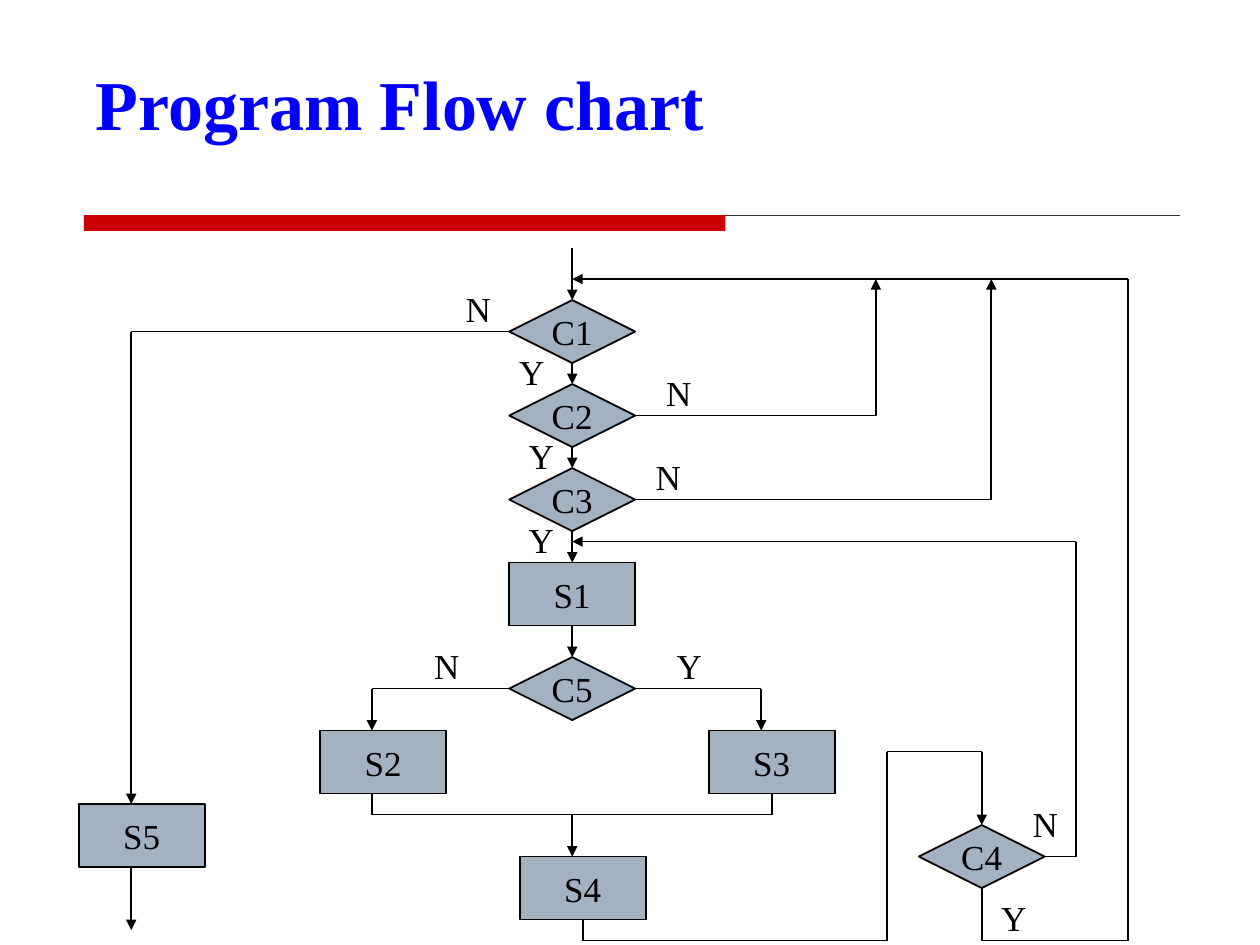
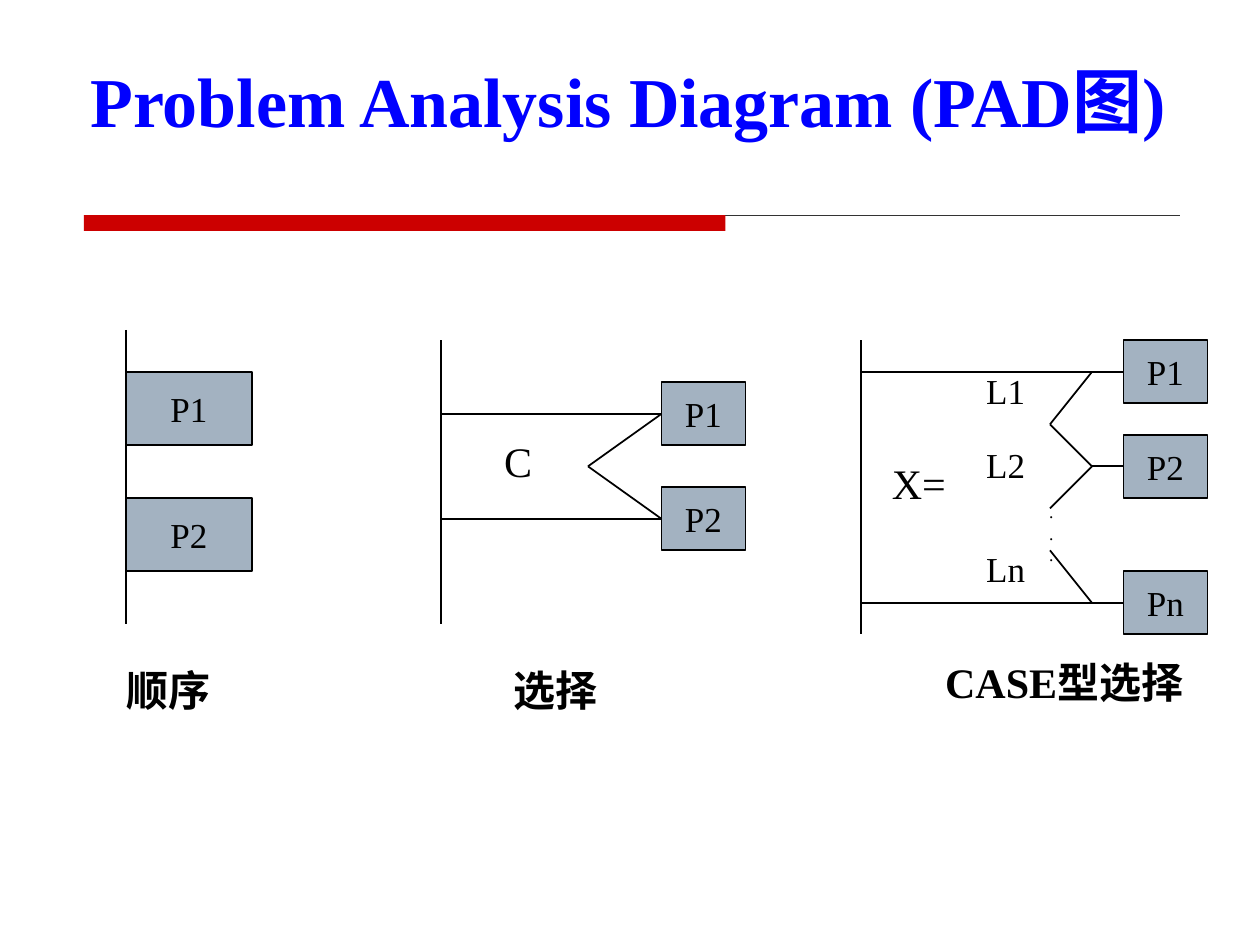
import itertools

import pptx
import pptx.dml.color
import pptx.enum.shapes
import pptx.enum.text
import pptx.oxml.ns
import pptx.oxml.xmlchemy
import pptx.util

Pt = pptx.util.Pt
Shape = pptx.enum.shapes.MSO_SHAPE

COLORS = {"title": "0000FF", "band": "CC0000", "rule": "333333",
          "node": "A3B2C1", "ink": "000000"}
FONT = "Times New Roman"

# ---- Flow chart: center x and top of each symbol ----
SYMBOL_SIZE = (72, 36)
DECISIONS = {"C1": (327, 171.5), "C2": (327, 219.5), "C3": (327, 267.5),
             "C5": (327, 375.5), "C4": (561, 471.5)}
PROCESSES = {"S1": (327, 321.5), "S2": (219, 417.5), "S3": (441, 417.5),
             "S4": (333, 489.5), "S5": (81, 459.5)}

# Each route is a chain of corners; an arrow route ends in an arrowhead.
ARROW_ROUTES = [
    [(327, 141.5), (327, 171.5)],
    [(327, 207.5), (327, 219.5)],
    [(327, 255.5), (327, 267.5)],
    [(327, 303.5), (327, 321.5)],
    [(327, 357.5), (327, 375.5)],
    [(291, 189.5), (75, 189.5), (75, 459.5)],
    [(75, 495.5), (75, 531.5)],
    [(291, 393.5), (212.5, 393.5), (212.5, 417.5)],
    [(363, 393.5), (435, 393.5), (435, 417.5)],
    [(327, 465.5), (327, 489.5)],
    [(333, 525.5), (333, 537.5), (507, 537.5), (507, 429.5),
     (561, 429.5), (561, 471.5)],
    [(597, 489.5), (615, 489.5), (615, 309.5), (327, 309.5)],
    [(561, 507.5), (561, 537.5), (644.5, 537.5), (644.5, 159.5), (327, 159.5)],
    [(363, 237.5), (500.5, 237.5), (500.5, 159.5)],
    [(363, 285.5), (566.5, 285.5), (566.5, 159.5)],
]
JOIN_ROUTE = [(212.5, 453.5), (212.5, 465.5), (441, 465.5), (441, 453.5)]

BRANCH_LABELS = {
    "N": [(241, 365), (583, 455), (373.5, 209), (367.5, 257), (259, 160.5)],
    "Y": [(379.5, 365), (565, 509), (289.5, 196.5), (295, 245), (295, 293)],
}

# ---- PAD: (text, left, top, width, height) ----
PAD_BOXES = [
    ("P1", 72, 212.5, 72, 42), ("P2", 72, 284.5, 72, 42),
    ("P1", 378, 218.5, 48, 36), ("P2", 378, 278.5, 48, 36),
    ("P1", 642, 194.5, 48, 36), ("P2", 642, 248.5, 48, 36),
    ("Pn", 642, 326.5, 48, 36),
]
PAD_LINES = [
    [(72, 188.5), (72, 356.5)],
    [(252, 194.5), (252, 356.5)],
    [(252, 236.5), (378, 236.5), (336, 266.5), (378, 296.5), (252, 296.5)],
    [(492, 194.5), (492, 362.5)],
    [(492, 212.5), (642, 212.5)],
    [(492, 344.5), (642, 344.5)],
    [(624, 266.5), (642, 266.5)],
    [(624, 212.5), (600, 242.5), (624, 266.5), (600, 290.5)],
    [(600, 314.5), (624, 344.5)],
]
# (text, left, top, width, height, font size)
PAD_LABELS = [
    (".\n.\n.", 592.5, 283, 17, 43, 10),
    ("X=", 502.5, 258, 45.5, 36, 24),
    ("L1", 556.5, 207.5, 36.5, 31, 20),
    ("L2", 556.5, 250, 36.5, 31, 20),
    ("Ln", 556.5, 309.5, 36.5, 31, 20),
    ("C", 281, 245.5, 30, 36, 24),
]
CAPTIONS = [("顺序", 65, 376, 62.5, 36, 24), ("选择", 286.5, 376, 62.5, 36, 24),
            ("CASE型选择", 533, 371.5, 151, 36, 24)]


def rgb(name):
    return pptx.dml.color.RGBColor.from_string(COLORS[name])


def write(shape, text, size, color="ink", bold=False, align="LEFT"):
    shape.text_frame.text = text
    for para in shape.text_frame.paragraphs:
        para.alignment = getattr(pptx.enum.text.PP_ALIGN, align)
        para.font.name = FONT
        para.font.size = Pt(size)
        para.font.bold = bold
        para.font.color.rgb = rgb(color)


def add_node(page, kind, text, left, top, width, height):
    box = page.shapes.add_shape(kind, Pt(left), Pt(top), Pt(width), Pt(height))
    box.shadow.inherit = False
    box.fill.solid()
    box.fill.fore_color.rgb = rgb("node")
    box.line.color.rgb = rgb("ink")
    box.line.width = Pt(1)
    write(box, text, 20, align="CENTER")
    box.text_frame.word_wrap = False
    box.text_frame.vertical_anchor = pptx.enum.text.MSO_ANCHOR.MIDDLE


def add_label(page, text, left, top, width, height, size, bold=False, wrap=False):
    box = page.shapes.add_textbox(Pt(left), Pt(top), Pt(width), Pt(height))
    write(box, text, size, bold=bold)
    box.text_frame.word_wrap = wrap


def add_line(page, start, end, color="ink", width=1):
    line = page.shapes.add_connector(
        pptx.enum.shapes.MSO_CONNECTOR.STRAIGHT, *map(Pt, start + end))
    line.line.color.rgb = rgb(color)
    line.line.width = Pt(width)
    properties = line.element.spPr
    properties.append(pptx.oxml.xmlchemy.OxmlElement("a:effectLst"))
    return line


def add_route(page, corners, arrow=False):
    """Join the corners with straight lines, with an arrowhead at the last."""
    for start, end in itertools.pairwise(corners):
        line = add_line(page, start, end)
    if arrow:
        head = pptx.oxml.xmlchemy.OxmlElement("a:tailEnd")
        head.set("type", "triangle")
        line.element.spPr.find(pptx.oxml.ns.qn("a:ln")).append(head)


def add_page(deck, title, left, top):
    """Add a title-only slide with the red band and rule under its title."""
    page = deck.slides.add_slide(deck.slide_layouts[5])
    add_line(page, (48, 123), (674.5, 123), "rule", 0.75)
    band = page.shapes.add_shape(Shape.RECTANGLE, Pt(48), Pt(123), Pt(366.5), Pt(9))
    band.shadow.inherit = False
    band.fill.solid()
    band.fill.fore_color.rgb = rgb("band")
    band.line.fill.background()

    heading = page.shapes.title
    heading.left, heading.top = Pt(left), Pt(top)
    heading.width, heading.height = Pt(720 - left), Pt(55)
    write(heading, title, 40, "title", bold=True)
    heading.text_frame.auto_size = pptx.enum.text.MSO_AUTO_SIZE.NONE
    heading.text_frame.vertical_anchor = pptx.enum.text.MSO_ANCHOR.TOP
    return page


def build_flow_chart(deck):
    page = add_page(deck, "Program Flow chart", 47.5, 31)
    width, height = SYMBOL_SIZE
    for kind, symbols in ((Shape.FLOWCHART_DECISION, DECISIONS),
                          (Shape.FLOWCHART_PROCESS, PROCESSES)):
        for name, (center, top) in symbols.items():
            add_node(page, kind, name, center - width / 2, top, width, height)
    for route in ARROW_ROUTES:
        add_route(page, route, arrow=True)
    add_route(page, JOIN_ROUTE)
    for answer, places in BRANCH_LABELS.items():
        for left, top in places:
            add_label(page, answer, left, top, 29, 31, 20)


def build_pad(deck):
    page = add_page(deck, "Problem Analysis Diagram (PAD图)", 44.5, 29)
    for box in PAD_BOXES:
        add_node(page, Shape.RECTANGLE, *box)
    for corners in PAD_LINES:
        add_route(page, corners)
    for label in PAD_LABELS:
        add_label(page, *label)
    for caption in CAPTIONS:
        add_label(page, *caption, bold=True, wrap=True)


def main():
    deck = pptx.Presentation()
    deck.slide_width, deck.slide_height = Pt(720), Pt(540)
    build_flow_chart(deck)
    build_pad(deck)
    deck.save("out.pptx")


if __name__ == "__main__":
    main()
